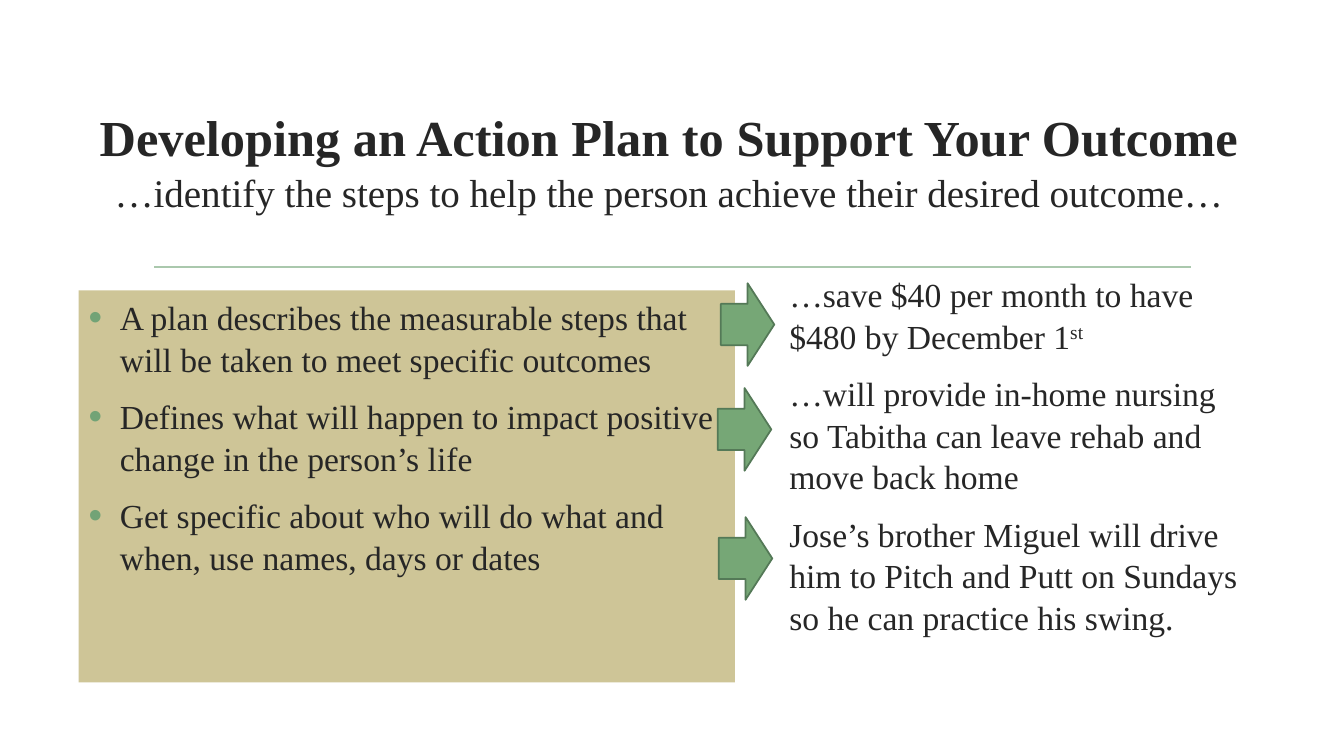
"""Build a slide that pairs action plan steps with worked examples."""
from copy import deepcopy
from dataclasses import dataclass

from lxml import etree
from pptx import Presentation
from pptx.dml.color import RGBColor
from pptx.enum.shapes import MSO_CONNECTOR, MSO_SHAPE
from pptx.enum.text import MSO_ANCHOR, MSO_AUTO_SIZE, PP_ALIGN
from pptx.oxml.ns import qn
from pptx.util import Inches, Pt

ARROW = MSO_SHAPE.RIGHT_ARROW
STRAIGHT = MSO_CONNECTOR.STRAIGHT
TOP, MIDDLE = MSO_ANCHOR.TOP, MSO_ANCHOR.MIDDLE
CENTER, LEFT = PP_ALIGN.CENTER, PP_ALIGN.LEFT
NO_FIT = MSO_AUTO_SIZE.NONE


@dataclass(frozen=True)
class Theme:
    font: str = "Times New Roman"
    ink: str = "262626"
    sand: str = "CEC597"
    bullet: str = "72A376"
    arrow: str = "76A776"
    edge: str = "547957"
    rule: str = "AAC8AD"
    head: float = 36
    sub: float = 27.9
    body: float = 24
    line: float = 1.25
    pitch: float = 1.04


@dataclass(frozen=True)
class Box:
    left: float
    top: float
    width: float
    height: float

    def place(self) -> tuple:
        return tuple(Inches(n) for n in (self.left, self.top, self.width, self.height))


@dataclass(frozen=True)
class Span:
    text: str
    size: float
    bold: bool = False
    raised: bool = False


@dataclass(frozen=True)
class Panel:
    box: Box
    paras: list
    fill: str = ""
    bullet: bool = False


THEME = Theme()
TITLE = Box(0.74, 1.02, 11.79, 1.12)
HEADS = [
    Span("Developing an Action Plan to Support Your Outcome", THEME.head, bold=True),
    Span("…identify the steps to help the person achieve their desired outcome…", THEME.sub),
]
STEPS = [
    [Span("A plan describes the measurable steps that will be taken to meet specific outcomes", THEME.body)],
    [Span("Defines what will happen to impact positive change in the person’s life", THEME.body)],
    [Span("Get specific about who will do what and when, use names, days or dates", THEME.body)],
]
CASES = [
    [Span("…save $40 per month to have $480 by December 1", THEME.body),
     Span("st", THEME.body, raised=True)],
    [Span("…will provide in-home nursing so Tabitha can leave rehab and move back home", THEME.body)],
    [Span("Jose’s brother Miguel will drive him to Pitch and Putt on Sundays "
          "so he can practice his swing.", THEME.body)],
]
PANELS = [
    Panel(Box(0.78, 2.88, 6.51, 3.89), STEPS, THEME.sand, True),
    Panel(Box(7.73, 2.65, 4.65, 4.04), CASES),
]
ARROWS = [Box(left, top, 0.53, 0.82) for left, top in ((7.13, 5.13), (7.12, 3.85), (7.15, 2.81))]


def apply(item, style: dict) -> None:
    for name, value in style.items():
        setattr(item, name, value)


def paint(fill, color: str) -> None:
    fill.solid()
    fill.fore_color.rgb = RGBColor.from_string(color)


def add_span(para, span: Span):
    run = para.add_run()
    run.text = span.text
    apply(run.font, {"name": THEME.font, "size": Pt(span.size), "bold": span.bold})
    run.font.color.rgb = RGBColor.from_string(THEME.ink)
    if span.raised:
        run.font._element.set("baseline", "30000")
    return run


def add_mark(para) -> None:
    props = para._p.get_or_add_pPr()
    props.set("marL", str(Inches(0.31)))
    props.set("indent", str(-Inches(0.31)))
    color = etree.SubElement(props, qn("a:buClr"))
    etree.SubElement(color, qn("a:srgbClr"), val=THEME.bullet)
    etree.SubElement(props, qn("a:buSzPct"), val="115000")
    etree.SubElement(props, qn("a:buFont"), typeface="Arial")
    etree.SubElement(props, qn("a:buChar"), char="•")


def draw_title(slide) -> None:
    title = slide.shapes.title
    apply(title, dict(zip(("left", "top", "width", "height"), TITLE.place())))
    frame = title.text_frame
    apply(frame, {"word_wrap": True, "auto_size": NO_FIT, "vertical_anchor": MIDDLE})
    para = frame.paragraphs[0]
    apply(para, {"alignment": CENTER, "line_spacing": THEME.pitch})
    head, sub = HEADS
    run = add_span(para, head)
    para.add_line_break()
    para._p[-1].append(deepcopy(run.font._element))
    add_span(para, sub)


def draw_rule(slide) -> None:
    rule = slide.shapes.add_connector(STRAIGHT, Inches(1.53), Inches(2.65), Inches(11.81), Inches(2.65))
    paint(rule.line.fill, THEME.rule)
    rule.line.width = Pt(THEME.line)
    etree.SubElement(rule._element.spPr, qn("a:effectLst"))


def draw_panel(slide, panel: Panel) -> None:
    shape = slide.shapes.add_textbox(*panel.box.place())
    if panel.fill:
        paint(shape.fill, panel.fill)
    frame = shape.text_frame
    apply(frame, {"word_wrap": True, "auto_size": NO_FIT, "vertical_anchor": TOP})
    for index, spans in enumerate(panel.paras):
        para = frame.add_paragraph() if index else frame.paragraphs[0]
        apply(para, {"alignment": LEFT, "line_spacing": THEME.pitch,
                     "space_before": Pt(0.2 * THEME.body), "space_after": Pt(6)})
        if panel.bullet:
            add_mark(para)
        for span in spans:
            add_span(para, span)


def draw_arrow(slide, box: Box) -> None:
    shape = slide.shapes.add_shape(ARROW, *box.place())
    shape.shadow.inherit = False
    paint(shape.fill, THEME.arrow)
    paint(shape.line.fill, THEME.edge)
    shape.line.width = Pt(THEME.line)


def main() -> None:
    deck = Presentation()
    apply(deck, {"slide_width": Inches(13.33), "slide_height": Inches(7.5)})
    slide = deck.slides.add_slide(deck.slide_layouts.get_by_name("Title Only"))
    draw_rule(slide)
    draw_title(slide)
    for panel in PANELS:
        draw_panel(slide, panel)
    for box in ARROWS:
        draw_arrow(slide, box)
    deck.save("out.pptx")


if __name__ == "__main__":
    main()
